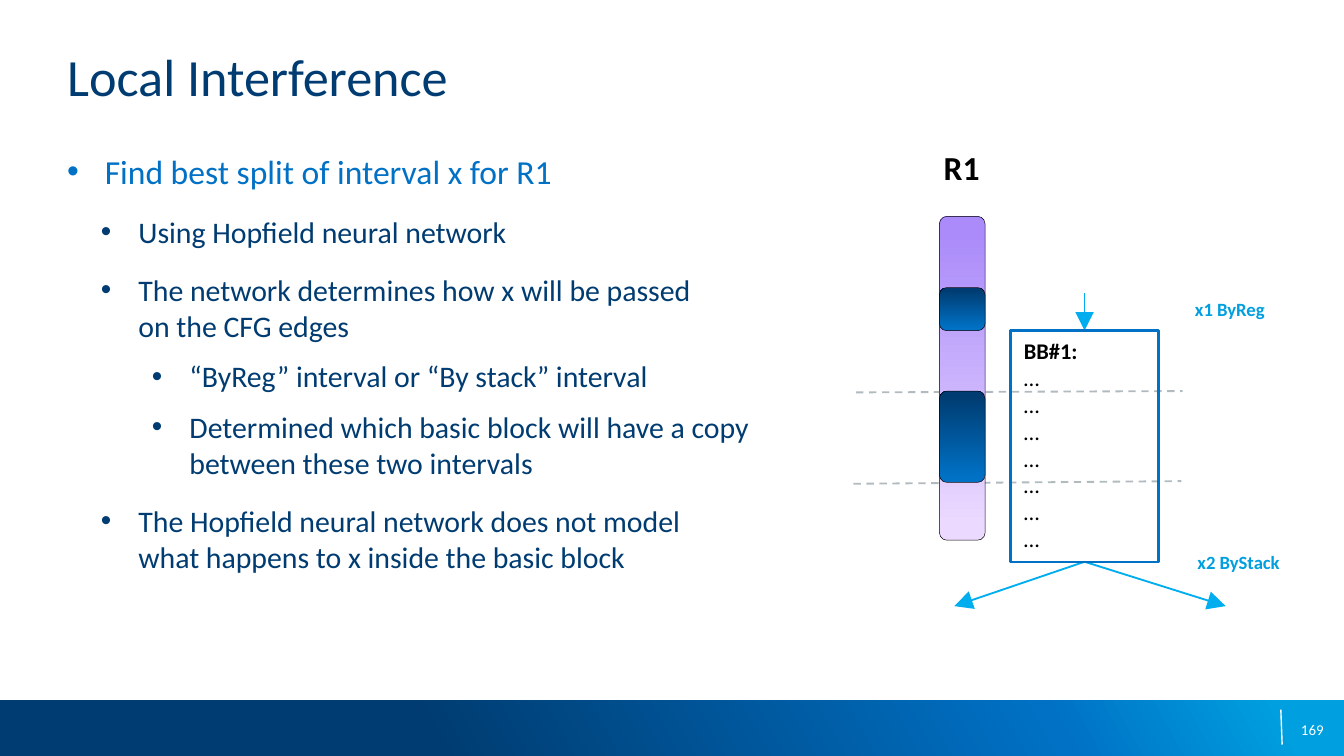
from lxml.etree import SubElement
from pptx import Presentation
from pptx.dml.color import RGBColor
from pptx.enum.dml import MSO_LINE_DASH_STYLE as Dash
from pptx.enum.shapes import MSO_CONNECTOR as Connector, MSO_SHAPE as Shape
from pptx.enum.text import MSO_ANCHOR as Anchor, MSO_AUTO_SIZE as AutoSize, PP_ALIGN as Align
from pptx.oxml.ns import qn
from pptx.util import Inches, Pt

NAVY = RGBColor(0x00, 0x3C, 0x71)
BLUE = RGBColor(0x00, 0x71, 0xC5)
SKY = RGBColor(0x00, 0x9F, 0xDF)
CYAN = RGBColor(0x00, 0xAE, 0xEF)
LILAC = RGBColor(0xEB, 0xD9, 0xFF)
VIOLET = RGBColor(0xAA, 0x8B, 0xF9)
GREY = RGBColor(0xB1, 0xBA, 0xBF)
BLACK = RGBColor(0, 0, 0)
WHITE = RGBColor(0xFF, 0xFF, 0xFF)
FONT = "Calibri"

# Level: (left margin, space before, size, colour)
LEVELS = [(0.28, 12, 18, BLUE), (0.53, 12, 16, NAVY), (0.91, 8, 16, NAVY)]
HANGING = 0.28
POINTS = [
    (0, "Find best split of interval x for R1"),
    (1, "Using Hopfield neural network"),
    (1, "The network determines how x will be passed \von the CFG edges"),
    (2, "“ByReg” interval or “By stack” interval"),
    (2, "Determined which basic block will have a copy\vbetween these two intervals"),
    (1, "The Hopfield neural network does not model \vwhat happens to x inside the basic block"),
]


def style(paragraph, size, color, bold=False):
    for run in paragraph.runs:
        font = run.font
        font.name, font.size, font.bold = FONT, Pt(size), bold
        font.color.rgb = color


def clear_insets(frame):
    frame.margin_left = frame.margin_right = frame.margin_top = frame.margin_bottom = 0


def place(shape, left, top, width, height):
    shape.left, shape.top = Inches(left), Inches(top)
    shape.width, shape.height = Inches(width), Inches(height)


def add_label(slide, box, text, size, color, bold=True, align=Align.CENTER, anchor=Anchor.TOP):
    label = slide.shapes.add_textbox(*map(Inches, box))
    frame = label.text_frame
    clear_insets(frame)
    frame.vertical_anchor = anchor
    frame.text = text
    frame.paragraphs[0].alignment = align
    style(frame.paragraphs[0], size, color, bold)


def add_box(slide, kind, box):
    shape = slide.shapes.add_shape(kind, *map(Inches, box))
    shape.shadow.inherit = False
    return shape


def fill_gradient(shape, angle, stops):
    """Angle runs counter-clockwise; stops are (percent, colour)."""
    shape.fill.gradient()
    shape.fill.gradient_angle = angle
    stop_list = shape.element.spPr.find(qn("a:gradFill")).find(qn("a:gsLst"))
    for stop in list(stop_list):
        stop_list.remove(stop)
    for percent, color in stops:
        stop = SubElement(stop_list, qn("a:gs"), pos=str(percent * 1000))
        SubElement(stop, qn("a:srgbClr"), val=str(color))


def add_line(slide, start, end, color, width=1, dash=None, arrow=False):
    points = map(Inches, (*start, *end))
    connector = slide.shapes.add_connector(Connector.STRAIGHT, *points)
    line = connector.line
    line.color.rgb, line.width = color, Pt(width)
    if dash:
        line.dash_style = dash
    properties = connector.element.spPr
    if arrow:
        SubElement(properties.find(qn("a:ln")), qn("a:tailEnd"),
                   type="triangle", w="lg", len="lg")
    SubElement(properties, qn("a:effectLst"))


def add_title(slide, box):
    title = slide.shapes.title
    place(title, *box)
    frame = title.text_frame
    clear_insets(frame)
    frame.auto_size = AutoSize.NONE
    frame.vertical_anchor = Anchor.TOP
    frame.text = "Local Interference"
    frame.paragraphs[0].alignment = Align.LEFT
    style(frame.paragraphs[0], 28, NAVY)


def add_points(slide, box):
    body = slide.placeholders[1]
    place(body, *box)
    frame = body.text_frame
    clear_insets(frame)
    frame.auto_size = AutoSize.NONE
    for index, (level, text) in enumerate(POINTS):
        margin, before, size, color = LEVELS[level]
        point = frame.add_paragraph() if index else frame.paragraphs[0]
        point.text = text
        point.level = level
        point.space_before = Pt(before if index else 0)
        properties = point._p.get_or_add_pPr()
        properties.set("marL", str(Inches(margin)))
        properties.set("indent", str(-Inches(HANGING)))
        SubElement(properties, qn("a:buFont"), typeface="Arial")
        SubElement(properties, qn("a:buChar"), char="•")
        style(point, size, color)


def add_register(slide, left, top, width, height):
    """Register bar with its occupied intervals and heading."""
    live = [(5, LILAC), (95, VIOLET)]
    occupied = [(5, BLUE), (95, NAVY)]
    for offset, length, stops in [(0, height, live), (1.3, 0.68, occupied), (0.53, 0.32, occupied)]:
        interval = add_box(slide, Shape.ROUNDED_RECTANGLE, (left, top + offset, width, length))
        fill_gradient(interval, 90, stops)
        interval.line.color.rgb, interval.line.width = BLACK, Pt(0.25)
    add_label(slide, (left - 0.03, top - 0.52, width + 0.05, 0.3), "R1", 18, BLACK)


def add_basic_block(slide, left, top, width, height):
    """Basic block with its incoming and outgoing control flow edges."""
    middle, bottom = left + width / 2, top + height
    edges = [
        ((middle, top - 0.28), (middle, top)),
        ((middle, bottom), (middle + 1.05, bottom + 0.33)),
        ((middle, bottom), (middle - 0.97, bottom + 0.33)),
    ]
    for start, end in edges:
        add_line(slide, start, end, CYAN, arrow=True)

    block = add_box(slide, Shape.RECTANGLE, (left, top, width, height))
    block.fill.background()
    block.line.color.rgb, block.line.width = BLUE, Pt(1.25)
    frame = block.text_frame
    frame.vertical_anchor = Anchor.TOP
    frame.text = "\n".join(["BB#1:"] + ["…"] * 7)
    for index, instruction in enumerate(frame.paragraphs):
        instruction.alignment = Align.LEFT
        style(instruction, 12, BLACK, bold=index == 0)

    add_label(slide, (left + 1.32, top - 0.24, 0.62, 0.17), "x1 ByReg", 10, SKY)
    add_label(slide, (left + 1.32, bottom - 0.08, 0.75, 0.17), "x2 ByStack", 10, SKY)


def add_interference(slide, left, top):
    for start, end in [((0, 2.51), (2.44, 2.49)), ((0.02, 1.83), (2.45, 1.82))]:
        add_line(slide, (left + start[0], top + start[1]), (left + end[0], top + end[1]),
                 GREY, dash=Dash.DASH)
    add_basic_block(slide, left + 1.17, top + 1.37, 1.1, 1.72)
    add_register(slide, left + 0.64, top + 0.52, 0.34, 2.41)


def add_footer(slide, left, top, width, height):
    band = add_box(slide, Shape.RECTANGLE, (left, top, width, height))
    fill_gradient(band, 29, [(32, NAVY), (78, BLUE), (95, SKY)])
    band.line.fill.background()
    add_line(slide, (left + 9.53, top + 0.07), (left + 9.54, top + 0.33), WHITE, 0.75)
    add_label(slide, (left + 7.52, top + 0.07, 2.33, 0.3), "169", 8, WHITE,
              bold=False, align=Align.RIGHT, anchor=Anchor.MIDDLE)


def main():
    deck = Presentation()
    deck.slide_width = Inches(10)
    deck.slide_height = deck.slide_width * 9 // 16
    slide = deck.slides.add_slide(deck.slide_layouts[1])
    add_footer(slide, 0, 5.21, 10, 0.42)
    add_title(slide, (0.5, 0.33, 9, 0.73))
    add_points(slide, (0.5, 1.12, 9, 3.75))
    add_interference(slide, 6.35, 1.09)
    deck.save("out.pptx")


if __name__ == "__main__":
    main()
